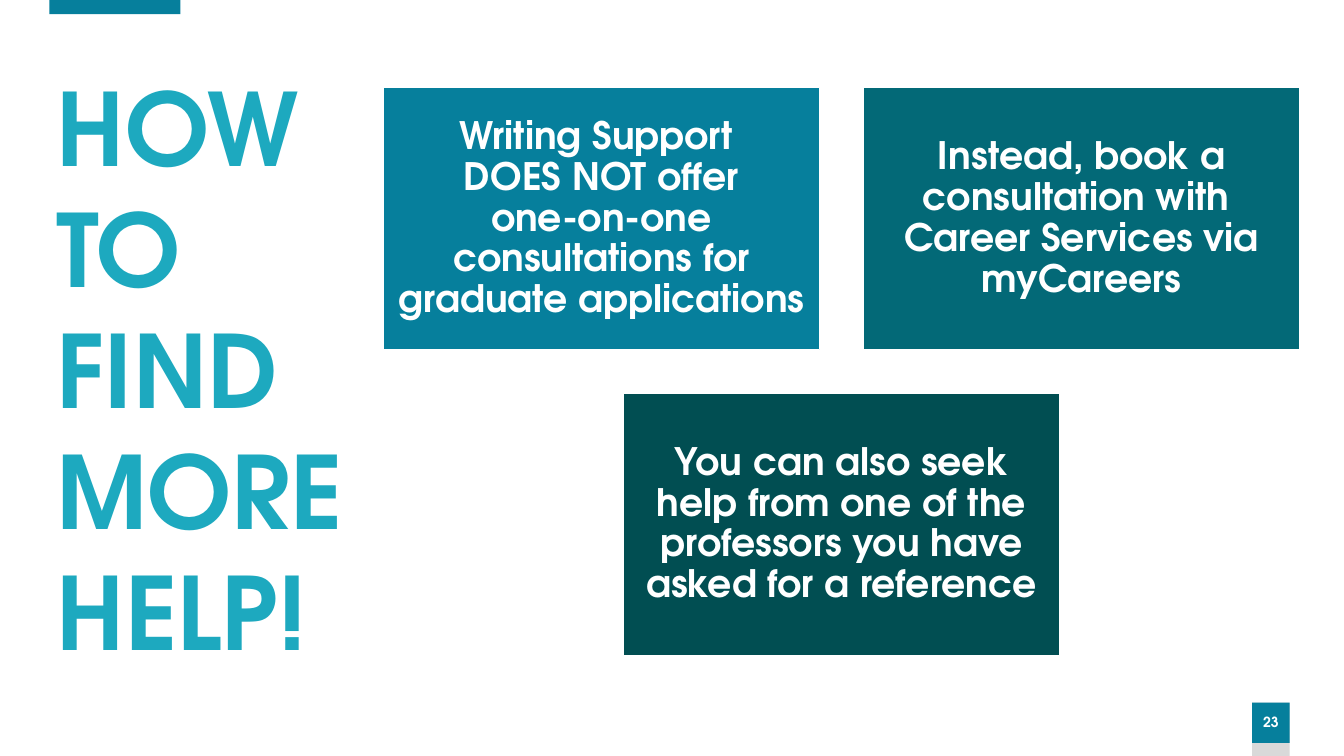
from pptx import Presentation
from pptx.dml.color import RGBColor
from pptx.enum.shapes import MSO_SHAPE
from pptx.enum.text import MSO_ANCHOR, MSO_AUTO_SIZE, PP_ALIGN
from pptx.util import Inches, Pt

WHITE = RGBColor(0xFF, 0xFF, 0xFF)
GREY = RGBColor(0xD9, 0xD9, 0xD9)
AQUA = RGBColor(0x1D, 0xA9, 0xBF)
BLUE = RGBColor(0x06, 0x7F, 0x9C)
TEAL = RGBColor(0x03, 0x69, 0x77)
DEEP = RGBColor(0x01, 0x4E, 0x52)

CARDS = [
    (0, 0, BLUE, ["Writing Support ", "DOES NOT offer",
                  "one-on-one consultations for", "graduate applications"]),
    (1, 0, TEAL, ["Instead, book a consultation with ",
                  "Career Services via myCareers"]),
    (0.5, 1, DEEP, ["You can also seek help from one of the professors "
                    "you have asked for a reference"]),
]


class Deck:
    font = "TeX Gyre Adventor"

    def __init__(self):
        self.prs = Presentation()
        self.prs.slide_width = Inches(13.33)
        self.prs.slide_height = Inches(7.5)
        self.slide = self.prs.slides.add_slide(self.prs.slide_layouts[5])

    def place(self, left, top, width, height):
        wide = self.prs.slide_width / 100
        high = self.prs.slide_height / 100
        return (round(left * wide), round(top * high),
                round(width * wide), round(height * high))

    def add_runs(self, para, lines, size, color):
        for i, line in enumerate(lines):
            if i:
                para.add_line_break()
            run = para.add_run()
            run.text = line
            run.font.name = self.font
            run.font.size = Pt(size)
            run.font.bold = True
            run.font.color.rgb = color

    def title(self, area, paras, size, color):
        shape = self.slide.shapes.title
        shape.left, shape.top, shape.width, shape.height = self.place(*area)
        frame = shape.text_frame
        frame.word_wrap = True
        frame.auto_size = MSO_AUTO_SIZE.NONE
        frame.vertical_anchor = MSO_ANCHOR.TOP
        for i, lines in enumerate(paras):
            para = frame.add_paragraph() if i else frame.paragraphs[0]
            para.alignment = PP_ALIGN.LEFT
            self.add_runs(para, lines, size, color)

    def block(self, area, fill, line=None):
        shape = self.slide.shapes.add_shape(MSO_SHAPE.RECTANGLE, *self.place(*area))
        shape.shadow.inherit = False
        shape.fill.solid()
        shape.fill.fore_color.rgb = fill
        if line is None:
            shape.line.fill.background()
        else:
            shape.line.color.rgb = line
            shape.line.width = Pt(1)
        return shape

    def label(self, shape, lines, size, side, edge):
        frame = shape.text_frame
        frame.word_wrap = True
        frame.vertical_anchor = MSO_ANCHOR.MIDDLE
        frame.margin_left = frame.margin_right = Inches(side)
        frame.margin_top = frame.margin_bottom = Inches(edge)
        para = frame.paragraphs[0]
        para.alignment = PP_ALIGN.CENTER
        para.line_spacing = 0.9
        self.add_runs(para, lines, size, WHITE)

    def card(self, col, row, fill, lines):
        area = (28.5 + 35.72 * col, 11.6 + 40.4 * row, 32.5, 34.67)
        self.label(self.block(area, fill, WHITE), lines, 27, 0.11, 0.11)


def main():
    deck = Deck()
    deck.block((3.68, 0, 9.75, 1.87), BLUE)
    deck.block((93.17, 92.93, 2.78, 7.07), GREY)
    page = deck.block((93.17, 92.93, 2.78, 5.33), BLUE)
    deck.label(page, ["23"], 10, 0, 0.05)
    for card in CARDS:
        deck.card(*card)
    deck.title((3.45, 8, 28.58, 82.13),
               [["HOW TO", "FIND"], ["MORE"], ["HELP!"]], 72, AQUA)
    deck.prs.save("out.pptx")


if __name__ == "__main__":
    main()
